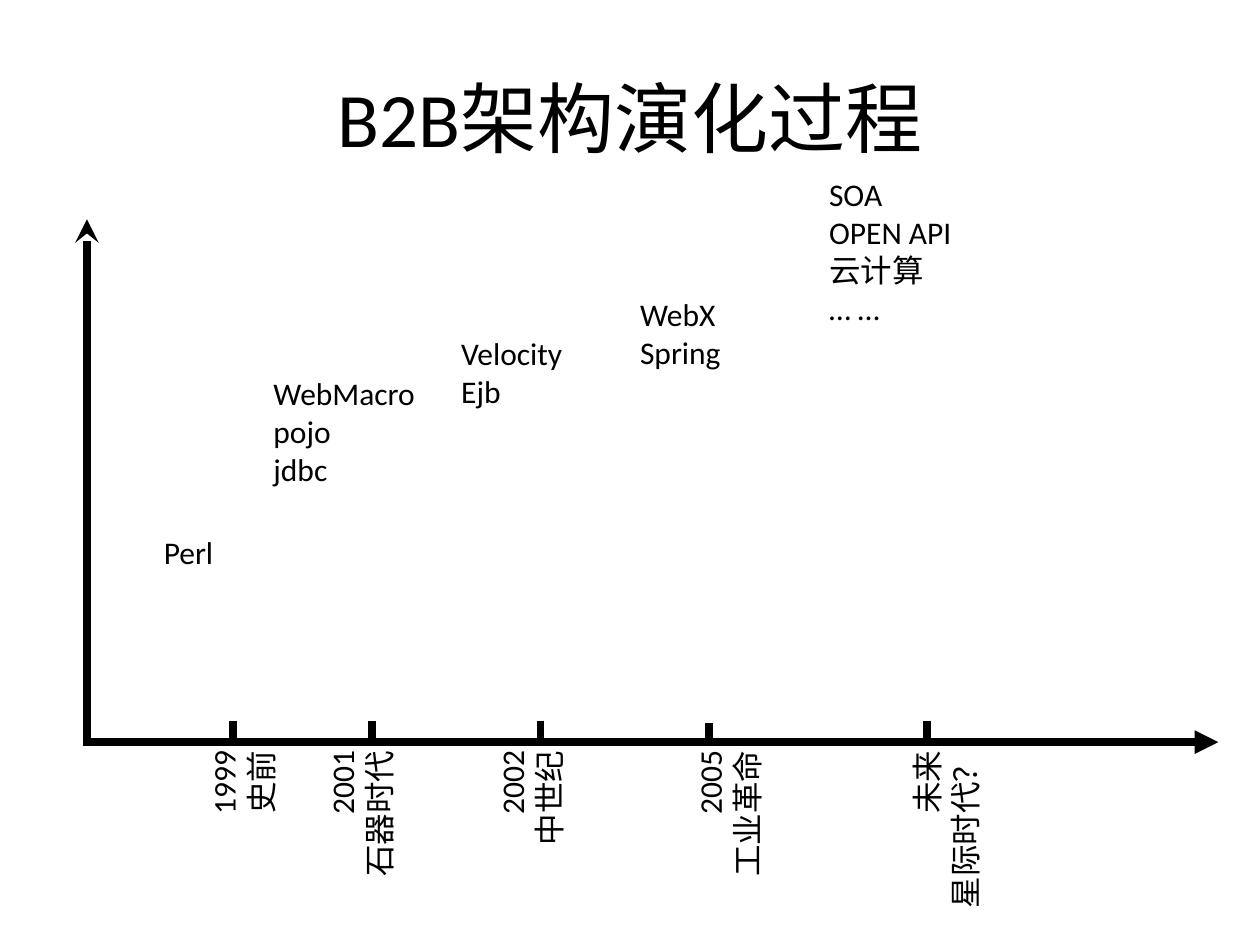
from dataclasses import dataclass

from lxml.etree import SubElement
from pptx import Presentation
from pptx.dml.color import RGBColor
from pptx.enum.shapes import MSO_CONNECTOR
from pptx.enum.text import MSO_ANCHOR, MSO_AUTO_SIZE, PP_ALIGN
from pptx.oxml.ns import qn
from pptx.slide import Slide
from pptx.util import Inches, Pt

BLACK = RGBColor(0x00, 0x00, 0x00)
AXIS_Y = 5.89
LABEL_TOP = 5.96
LABEL_HEIGHT = 0.6
TICK_LENGTH = 0.16
TITLE_FRAME = {"word_wrap": True, "vertical_anchor": MSO_ANCHOR.MIDDLE}
LABEL_FRAME = {
    "margin_left": 0,
    "margin_top": 0,
    "margin_right": 0,
    "margin_bottom": 0,
    "word_wrap": False,
    "auto_size": MSO_AUTO_SIZE.SHAPE_TO_FIT_TEXT,
}


@dataclass
class TextBlock:
    left: float
    top: float
    width: float
    height: float
    lines: list[str]
    size: int = 18
    alignment: PP_ALIGN = PP_ALIGN.LEFT
    rotation: int = 0


@dataclass
class Era:
    tick_x: float
    tick_top: float
    label_center: float
    label_length: float
    lines: list[str]


@dataclass
class Line:
    start: tuple[float, float]
    end: tuple[float, float]
    arrowheads: dict[str, str]


TITLE = TextBlock(0.5, 0.3, 9, 1.25, ["B2B架构演化过程"], 44, PP_ALIGN.CENTER)
AXES = [
    Line((0.69, 1.74), (0.69, 5.92), {"a:headEnd": "stealth"}),
    Line((0.69, AXIS_Y), (9.67, AXIS_Y), {"a:tailEnd": "triangle"}),
]
ERAS = [
    Era(1.85, 5.72, 1.92, 0.56, ["1999", "史前"]),
    Era(2.95, 5.72, 2.86, 1, ["2001", "石器时代"]),
    Era(4.29, 5.72, 4.21, 0.75, ["2002", "中世纪"]),
    Era(5.63, 5.74, 5.78, 1, ["2005", "工业革命"]),
    Era(7.36, 5.72, 7.51, 1.25, ["未来", "星际时代？"]),
]
TECHNOLOGIES = [
    TextBlock(1.3, 4.23, 0.44, 0.3, ["Perl"]),
    TextBlock(2.17, 2.97, 1.21, 0.9, ["WebMacro", "pojo", "jdbc"]),
    TextBlock(3.66, 2.65, 0.88, 0.6, ["Velocity", "Ejb"]),
    TextBlock(5.08, 2.34, 0.72, 0.6, ["WebX", "Spring"]),
    TextBlock(6.58, 1.39, 1.18, 1.2, ["SOA", "OPEN API", "云计算", "… …"]),
]


def draw_text(slide: Slide, block: TextBlock, frame_format: dict) -> None:
    shape = slide.shapes.add_textbox(
        Inches(block.left), Inches(block.top), Inches(block.width), Inches(block.height)
    )
    shape.rotation = block.rotation
    frame = shape.text_frame
    for name, value in frame_format.items():
        setattr(frame, name, value)
    frame.text = "\n".join(block.lines)
    font_format = {"name": "Calibri", "size": Pt(block.size)}
    for paragraph in frame.paragraphs:
        paragraph.alignment = block.alignment
        for run in paragraph.runs:
            for name, value in font_format.items():
                setattr(run.font, name, value)
            run.font.color.rgb = BLACK


def draw_line(slide: Slide, line: Line) -> None:
    points = [Inches(value) for value in (*line.start, *line.end)]
    connector = slide.shapes.add_connector(MSO_CONNECTOR.STRAIGHT, *points)
    connector.line.color.rgb = BLACK
    connector.line.width = Pt(4.5)
    properties = connector.element.spPr
    outline = properties.find(qn("a:ln"))
    for tag, kind in line.arrowheads.items():
        SubElement(outline, qn(tag), type=kind)
    SubElement(properties, qn("a:effectLst"))


def draw_era(slide: Slide, era: Era) -> None:
    label = TextBlock(
        era.label_center - era.label_length / 2,
        LABEL_TOP + (era.label_length - LABEL_HEIGHT) / 2,
        era.label_length,
        LABEL_HEIGHT,
        era.lines,
        alignment=PP_ALIGN.RIGHT,
        rotation=270,
    )
    draw_text(slide, label, LABEL_FRAME)
    tick_end = (era.tick_x, era.tick_top + TICK_LENGTH)
    draw_line(slide, Line((era.tick_x, era.tick_top), tick_end, {}))


def main() -> None:
    presentation = Presentation()
    presentation.slide_width = Inches(10)
    presentation.slide_height = Inches(7.5)
    slide = presentation.slides.add_slide(presentation.slide_layouts[6])
    draw_text(slide, TITLE, TITLE_FRAME)
    for axis in AXES:
        draw_line(slide, axis)
    for era in ERAS:
        draw_era(slide, era)
    for technology in TECHNOLOGIES:
        draw_text(slide, technology, LABEL_FRAME)
    presentation.save("out.pptx")


if __name__ == "__main__":
    main()
